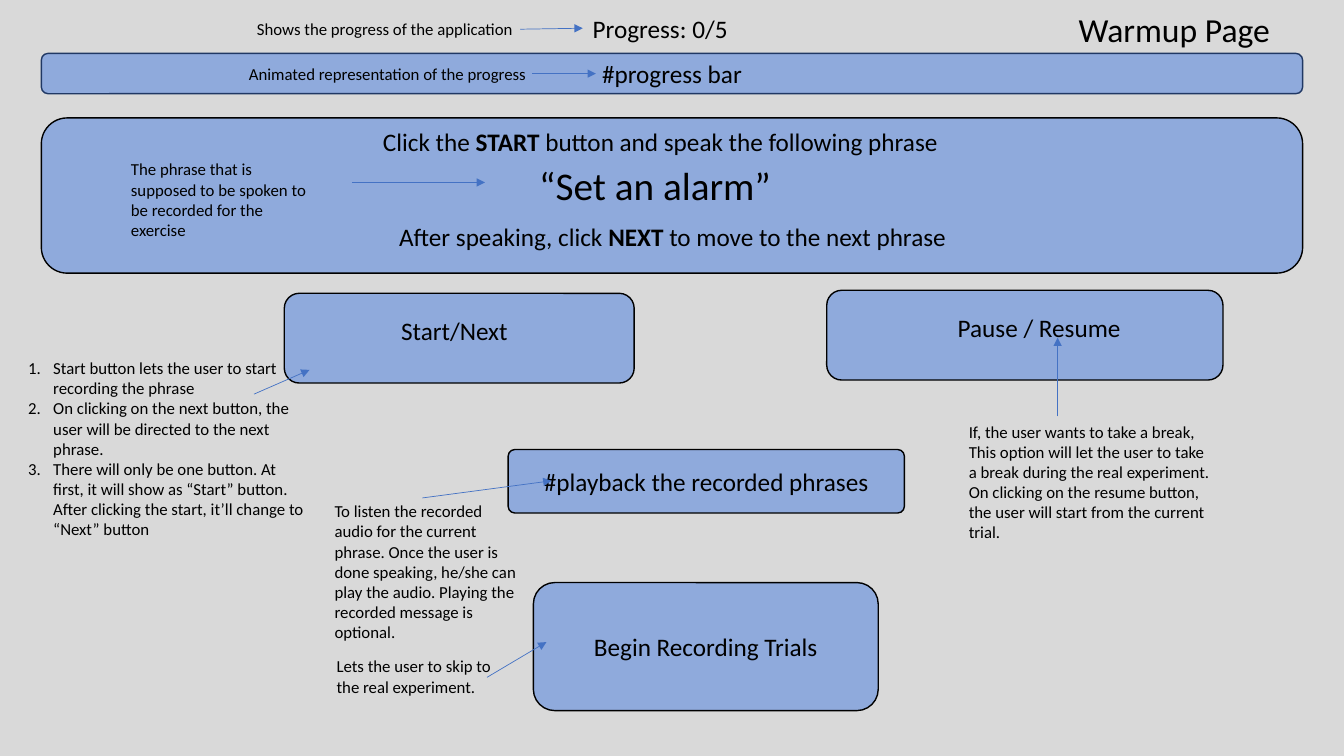
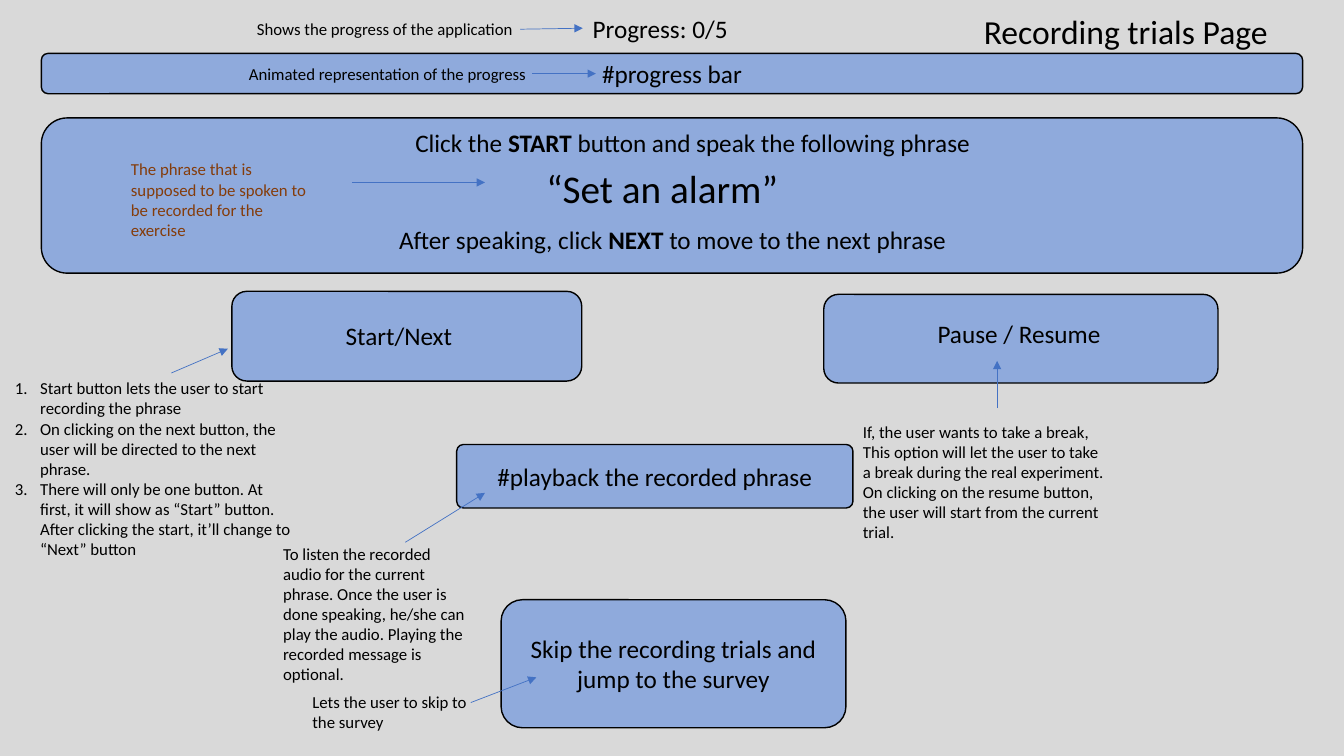
import dataclasses
import pptx
import pptx.util
import pptx.dml.color
import pptx.enum.shapes
import pptx.enum.text
import pptx.oxml
import pptx.oxml.ns

Inches = pptx.util.Inches
Shape = pptx.enum.shapes.MSO_SHAPE
Anchor = pptx.enum.text.MSO_ANCHOR
Align = pptx.enum.text.PP_ALIGN


@dataclasses.dataclass(frozen=True)
class Theme:
    font: str = "Calibri"
    back: str = "D9D9D9"
    panel: str = "8FAADC"
    ink: str = "000000"
    navy: str = "203864"
    arrow: str = "4472C4"
    brown: str = "843C0B"
    small: int = 12
    body: int = 18
    title: int = 24
    phrase: int = 28


THEME = Theme()

STEPS = [
    "Start button lets the user to start recording the phrase",
    "On clicking on the next button, the user will be directed to the next phrase.",
    "There will only be one button. At first, it will show as “Start” button. "
    "After clicking the start, it’ll change to “Next” button",
]
LISTEN = ("To listen the recorded audio for the current phrase. Once the user is done "
          "speaking, he/she can play the audio. Playing the recorded message is optional.")
BREAK = ("If, the user wants to take a break, This option will let the user to take a break "
         "during the real experiment. On clicking on the resume button, the user will start "
         "from the current trial.")


def rgb(code):
    return pptx.dml.color.RGBColor.from_string(code)


def inset(box, dx, dy, w, h):
    """Box of size w by h, moved by dx, dy from the corner of another box."""
    return box[0] + dx, box[1] + dy, w, h


def write(frame, text, size=THEME.body, color=THEME.ink, align=None, steps=False):
    """Fill a text frame; *stars* mark bold, a list gives paragraphs."""
    frame.word_wrap = True
    lines = text if isinstance(text, list) else [text]
    for i, line in enumerate(lines):
        para = frame.add_paragraph() if i else frame.paragraphs[0]
        para.alignment = align
        if steps:
            props = para._p.get_or_add_pPr()
            props.set("marL", str(Inches(0.25)))
            props.set("indent", str(Inches(-0.25)))
            props.append(pptx.oxml.parse_xml(
                '<a:buAutoNum %s type="arabicPeriod"/>' % pptx.oxml.ns.nsdecls("a")))
        for j, part in enumerate(line.split("*")):
            run = para.add_run()
            run.text = part
            run.font.name = THEME.font
            run.font.size = pptx.util.Pt(size)
            run.font.bold = j % 2 == 1
            run.font.color.rgb = rgb(color)


def label(slide, box, text, **style):
    frame = slide.shapes.add_textbox(*map(Inches, box)).text_frame
    write(frame, text, **style)
    frame.auto_size = pptx.enum.text.MSO_AUTO_SIZE.SHAPE_TO_FIT_TEXT


def note(slide, box, text, **style):
    label(slide, box, text, size=THEME.small, **style)


def panel(slide, box, text=None, edge=THEME.ink, curve=None):
    shape = slide.shapes.add_shape(Shape.ROUNDED_RECTANGLE, *map(Inches, box))
    shape.shadow.inherit = False
    shape.fill.solid()
    shape.fill.fore_color.rgb = rgb(THEME.panel)
    shape.line.color.rgb = rgb(edge)
    shape.line.width = pptx.util.Pt(1)
    if curve is not None:
        shape.adjustments[0] = curve
    if text:
        shape.text_frame.vertical_anchor = Anchor.MIDDLE
        write(shape.text_frame, text, align=Align.CENTER)


def arrow(slide, box, tail, tip):
    """Arrow between two points counted from the corner of a box."""
    ends = [box[0] + tail[0], box[1] + tail[1], box[0] + tip[0], box[1] + tip[1]]
    line = slide.shapes.add_connector(
        pptx.enum.shapes.MSO_CONNECTOR.STRAIGHT, *map(Inches, ends))
    line.line.color.rgb = rgb(THEME.arrow)
    line.line.width = pptx.util.Pt(0.5)
    props = line._element.spPr
    names = pptx.oxml.ns.nsdecls("a")
    props.find(pptx.oxml.ns.qn("a:ln")).append(
        pptx.oxml.parse_xml('<a:tailEnd %s type="triangle"/>' % names))
    props.append(pptx.oxml.parse_xml("<a:effectLst %s/>" % names))


# Progress line, progress bar and page title
def header(slide, box, title, place, edge):
    panel(slide, box, "#progress bar", edge=edge)
    label(slide, inset(box, 5.37, -0.45, 1.78, 0.4), "Progress: 0/5")
    note(slide, inset(box, 2.04, -0.39, 2.83, 0.3), "Shows the progress of the application")
    arrow(slide, box, (4.75, -0.24), (5.37, -0.25))
    note(slide, inset(box, 1.96, 0.05, 3.23, 0.3), "Animated representation of the progress")
    arrow(slide, box, (4.87, 0.2), (5.5, 0.2))
    label(slide, inset(box, *place, 3.23, 0.5), title, size=THEME.title)


# Panel with the phrase to speak
def prompt(slide, box, click, phrase, after, color):
    panel(slide, box)
    label(slide, inset(box, *click, 6.22, 0.4),
          "Click the *START* button and speak the following phrase")
    label(slide, inset(box, *phrase, 2.7, 0.57), "“Set an alarm”", size=THEME.phrase)
    label(slide, inset(box, *after, 6.22, 0.4),
          "After speaking, click *NEXT *to move to the next phrase")
    note(slide, inset(box, 0.79, 0.36, 2.02, 0.91),
         "The phrase that is supposed to be spoken to be recorded for the exercise", color=color)
    arrow(slide, box, (3.08, 0.64), (4.4, 0.64))


# Start button with its numbered notes
def start(slide, box, word, steps, tail, tip):
    panel(slide, box)
    label(slide, inset(box, *word, 2.13, 0.4), "Start/Next")
    arrow(slide, box, tail, tip)
    note(slide, inset(box, *steps, 2.97, 1.92), STEPS, steps=True)


# Pause button with its note
def pause(slide, box, word, text, tail, tip):
    panel(slide, box)
    label(slide, inset(box, *word, 1.85, 0.4), "Pause / Resume")
    arrow(slide, box, tail, tip)
    note(slide, inset(box, *text, 2.62, 1.31), BREAK)


# Playback button with its note
def replay(slide, box, word, text, tail, tip):
    panel(slide, box, word, curve=0.105)
    arrow(slide, box, tail, tip)
    note(slide, inset(box, *text, 2.03, 1.51), LISTEN)


# Button that leads onward, with its note
def skip(slide, box, word, text, place, tail, tip):
    panel(slide, box, word)
    arrow(slide, box, tail, tip)
    note(slide, inset(box, *place, 1.87, 0.5), text)


REGIONS = (header, prompt, start, pause, replay, skip)
BAR = (0.41, 0.53, 12.51, 0.4)
SPEECH = (0.41, 1.17, 12.51, 1.54)

WARMUP = (
    dict(box=BAR, title="Warmup Page", place=(10.19, -0.49), edge=THEME.navy),
    dict(box=SPEECH, click=(3.29, 0.03), phrase=(4.84, 0.38), after=(3.45, 0.98),
         color=THEME.ink),
    dict(box=(2.82, 2.91, 3.47, 0.89), word=(1.06, 0.17), steps=(-2.64, 0.59),
         tail=(-0.3, 1), tip=(0.25, 0.76)),
    dict(box=(8.2, 2.88, 3.93, 0.89), word=(1.2, 0.17), text=(1.31, 1.25),
         tail=(2.29, 1.25), tip=(2.29, 0.47)),
    dict(box=(5.04, 4.46, 3.93, 0.63), word="#playback the recorded phrases",
         text=(-1.82, 0.46), tail=(-0.85, 0.48), tip=(0.43, 0.31)),
    dict(box=(5.29, 5.78, 3.42, 1.27), word="Begin Recording Trials",
         text="Lets the user to skip to the real experiment.",
         place=(-2.05, 0.68), tail=(-0.46, 0.94), tip=(0.13, 0.59)),
)

TRIALS = (
    dict(box=BAR, title="Recording trials Page", place=(9.25, -0.47), edge=THEME.ink),
    dict(box=SPEECH, click=(3.61, 0.04), phrase=(4.91, 0.41), after=(3.45, 1.01),
         color=THEME.brown),
    dict(box=(2.3, 2.89, 3.47, 0.89), word=(1.03, 0.24), steps=(-2.25, 0.81),
         tail=(-0.6, 0.81), tip=(-0.04, 0.57)),
    dict(box=(8.17, 2.92, 3.91, 0.88), word=(1.03, 0.19), text=(0.29, 1.21),
         tail=(1.72, 1.13), tip=(1.72, 0.66)),
    dict(box=(4.53, 4.41, 3.93, 0.63), word="#playback the recorded phrase",
         text=(-1.82, 0.93), tail=(-0.51, 0.97), tip=(0.28, 0.48)),
    dict(box=(4.97, 5.95, 3.42, 1.27), word="Skip the recording trials and jump to the survey",
         text="Lets the user to skip to the survey",
         place=(-1.97, 0.86), tail=(-0.3, 1.02), tip=(0.35, 0.77)),
)


def main():
    deck = pptx.Presentation()
    deck.slide_width, deck.slide_height = Inches(13.33), Inches(7.5)
    for page in (WARMUP, TRIALS):
        slide = deck.slides.add_slide(deck.slide_layouts[6])
        slide.background.fill.solid()
        slide.background.fill.fore_color.rgb = rgb(THEME.back)
        for region, parts in zip(REGIONS, page):
            region(slide, **parts)
    deck.save("out.pptx")


if __name__ == "__main__":
    main()
